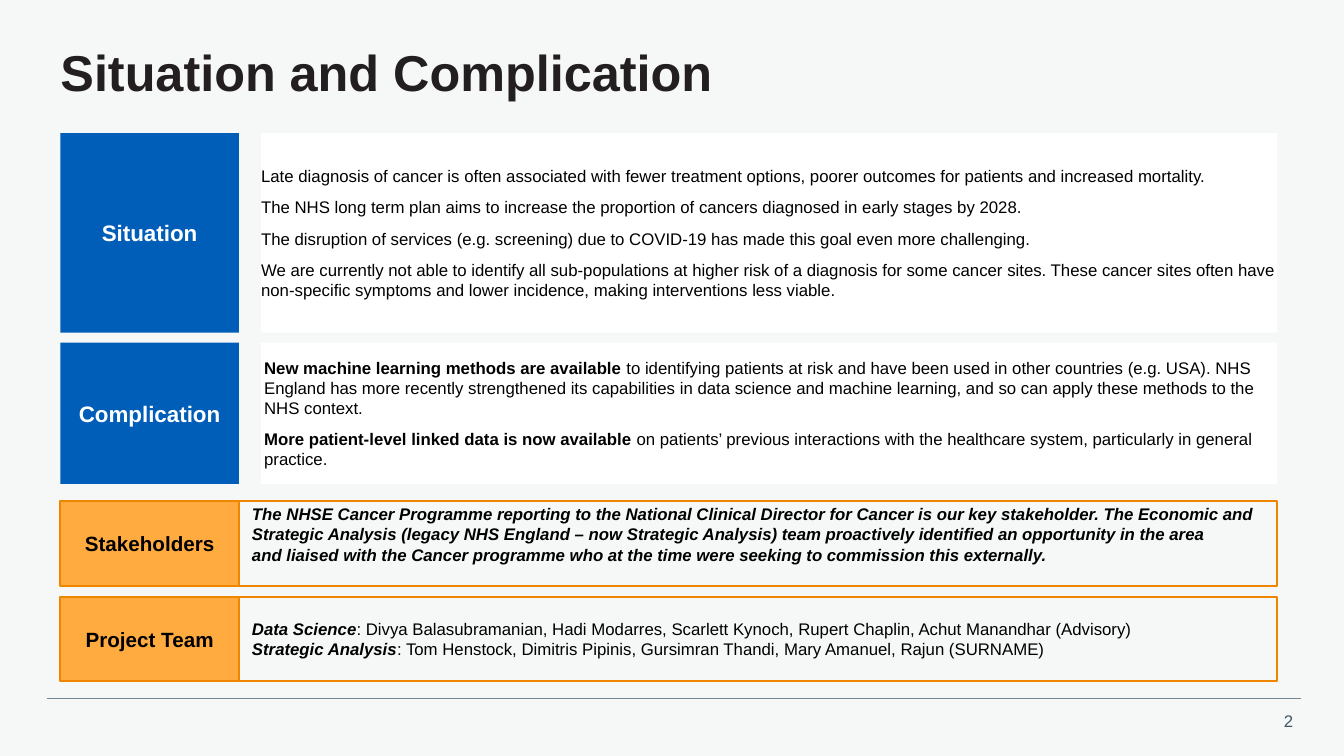
import dataclasses

import pptx
import pptx.dml.color
import pptx.enum.shapes
import pptx.enum.text
import pptx.util
from lxml import etree

ALIGN = pptx.enum.text.PP_ALIGN
ANCHOR = pptx.enum.text.MSO_ANCHOR
CELL = pptx.util.Inches(0.1)  # every length below counts grid cells
COLUMNS, ROWS = 133.33, 75


@dataclasses.dataclass(frozen=True)
class Theme:
    font: str = "Arial"
    background: str = "F6F8F8"
    title: str = "231F20"
    text: str = "000000"
    white: str = "FFFFFF"
    blue: str = "005EB8"
    amber: str = "FFAB40"
    amber_edge: str = "EF8600"
    rule: str = "768692"
    number: str = "425563"
    title_size: float = 36
    topic_size: float = 16
    role_size: float = 14.7
    body_size: float = 12


@dataclasses.dataclass(frozen=True)
class Box:
    left: float
    top: float
    width: float
    height: float

    def emu(self):
        return [round(n * CELL) for n in dataclasses.astuple(self)]

    def split(self, first, gap=0):
        """Cut into a left part of the given width and the rest after a gap."""
        start = first + gap
        return (Box(self.left, self.top, first, self.height),
                Box(self.left + start, self.top, self.width - start, self.height))


THEME = Theme()
LABEL_WIDTH = 17.7

# Each paragraph is a list of (text, emphasised) spans.
SITUATION = [[(text, False)] for text in (
    "Late diagnosis of cancer is often associated with fewer treatment options, "
    "poorer outcomes for patients and increased mortality.",
    "The NHS long term plan aims to increase the proportion of cancers diagnosed "
    "in early stages by 2028.",
    "The disruption of services (e.g. screening) due to COVID-19 has made this "
    "goal even more challenging.",
    "We are currently not able to identify all sub-populations at higher risk of a "
    "diagnosis for some cancer sites. These cancer sites often have non-specific "
    "symptoms and lower incidence, making interventions less viable.",
)]
COMPLICATION = [
    [("New machine learning methods are available ", True),
     ("to identifying patients at risk and have been used in other countries "
      "(e.g. USA). NHS England has more recently strengthened its capabilities in "
      "data science and machine learning, and so can apply these methods to the "
      "NHS context.", False)],
    [("More patient-level linked data is now available", True),
     (" on patients’ previous interactions with the healthcare system, "
      "particularly in general practice.", False)],
]
STAKEHOLDERS = [[
    ("The NHSE Cancer Programme reporting to the National Clinical Director for "
     "Cancer is our key stakeholder. The Economic and Strategic Analysis (legacy "
     "NHS England – now Strategic Analysis) team proactively identified an "
     "opportunity in the area\nand liaised with the Cancer programme who at the "
     "time were seeking to commission this externally.", True),
]]
PROJECT_TEAM = [[
    ("Data Science", True),
    (": Divya Balasubramanian, Hadi Modarres, Scarlett Kynoch, Rupert Chaplin, "
     "Achut Manandhar (Advisory)\n", False),
    ("Strategic Analysis", True),
    (": Tom Henstock, Dimitris Pipinis, Gursimran Thandi, Mary Amanuel, "
     "Rajun (SURNAME)", False),
]]


def rgb(code):
    return pptx.dml.color.RGBColor.from_string(code)


def set_frame(frame, inset_x=0, inset_y=0, anchor=ANCHOR.MIDDLE):
    frame.word_wrap = True
    frame.vertical_anchor = anchor
    frame.margin_left = frame.margin_right = round(inset_x * CELL)
    frame.margin_top = frame.margin_bottom = round(inset_y * CELL)


def set_font(para, size, color, bold=None):
    font = para.font
    font.name, font.size, font.bold = THEME.font, pptx.util.Pt(size), bold
    font.color.rgb = rgb(color)


def add_line(page, box, text, size, color, bold=None, align=ALIGN.LEFT):
    frame = page.shapes.add_textbox(*box.emu()).text_frame
    set_frame(frame)
    para = frame.paragraphs[0]
    para.text, para.alignment = text, align
    set_font(para, size, color, bold)
    return para


def add_panel(page, box, fill=None, edge=None):
    panel = page.shapes.add_shape(
        pptx.enum.shapes.MSO_SHAPE.RECTANGLE, *box.emu())
    panel.shadow.inherit = False
    if fill:
        panel.fill.solid()
        panel.fill.fore_color.rgb = rgb(fill)
    else:
        panel.fill.background()
    if edge:
        panel.line.color.rgb = rgb(edge)
        panel.line.width = pptx.util.Pt(1.5)
    else:
        panel.line.fill.background()
    return panel.text_frame


def add_label(page, box, text, size, color, fill, edge=None):
    frame = add_panel(page, box, fill, edge)
    set_frame(frame)
    para = frame.paragraphs[0]
    para.text, para.alignment = text, ALIGN.CENTER
    set_font(para, size, color, bold=True)


def write_paragraphs(frame, paragraphs, spacing=0, italic=None):
    for index, spans in enumerate(paragraphs):
        para = frame.add_paragraph() if index else frame.paragraphs[0]
        para.alignment = ALIGN.LEFT
        para.space_before = para.space_after = pptx.util.Pt(spacing)
        set_font(para, THEME.body_size, THEME.text)
        for text, emphasised in spans:
            for number, piece in enumerate(text.split("\n")):
                if number:
                    para.add_line_break()
                if piece:
                    span = para.add_run()
                    span.text = piece
                    span.font.bold = emphasised
                    span.font.italic = emphasised and italic


def add_topic(page, box, name, paragraphs, inset=0):
    """Blue label beside a white panel."""
    label, body = box.split(LABEL_WIDTH, gap=2.2)
    add_label(page, label, name, THEME.topic_size, THEME.white, THEME.blue)
    frame = add_panel(page, body, THEME.white)
    set_frame(frame, inset)
    write_paragraphs(frame, paragraphs, spacing=4)


def add_role(page, box, name, paragraphs, inset_y=0.7, anchor=ANCHOR.MIDDLE):
    """Amber label joined to an outlined panel."""
    label, body = box.split(LABEL_WIDTH)
    add_label(page, label, name, THEME.role_size, THEME.text,
              THEME.amber, THEME.amber_edge)
    frame = add_panel(page, body, edge=THEME.amber_edge)
    set_frame(frame, 1.3, inset_y, anchor)
    write_paragraphs(frame, paragraphs, italic=True)


def add_footer(page, box, number):
    left, top, width, height = box.emu()
    rule = page.shapes.add_connector(
        pptx.enum.shapes.MSO_CONNECTOR.STRAIGHT, left, top, left + width, top)
    rule.line.color.rgb = rgb(THEME.rule)
    rule.line.width = pptx.util.Pt(0.5)
    etree.SubElement(rule.element.spPr, pptx.oxml.ns.qn("a:effectLst"))
    place = Box(box.left + box.width - 4.8, box.top + 0.7, 4, box.height - 0.7)
    add_line(page, place, number, THEME.body_size, THEME.number, align=ALIGN.RIGHT)


def build_page(page):
    page.background.fill.solid()
    page.background.fill.fore_color.rgb = rgb(THEME.background)
    title = add_line(page, Box(6, 2.7, 124.7, 9.5), "Situation and Complication",
                     THEME.title_size, THEME.title, bold=True)
    title.line_spacing = 0.9
    left, width = 6, 120.7
    add_topic(page, Box(left, 13.2, width, 19.8), "Situation", SITUATION)
    add_topic(page, Box(left, 34, width, 14), "Complication", COMPLICATION, inset=0.3)
    add_role(page, Box(left, 49.7, width, 8.4), "Stakeholders", STAKEHOLDERS,
             inset_y=0.3, anchor=ANCHOR.TOP)
    add_role(page, Box(left, 59.2, width, 8.4), "Project Team", PROJECT_TEAM)
    add_footer(page, Box(4.7, 69.3, 124.4, 3.7), "2")


def main():
    deck = pptx.Presentation()
    deck.slide_width = round(COLUMNS * CELL)
    deck.slide_height = round(ROWS * CELL)
    build_page(deck.slides.add_slide(deck.slide_layouts[6]))
    deck.save("out.pptx")


if __name__ == "__main__":
    main()
